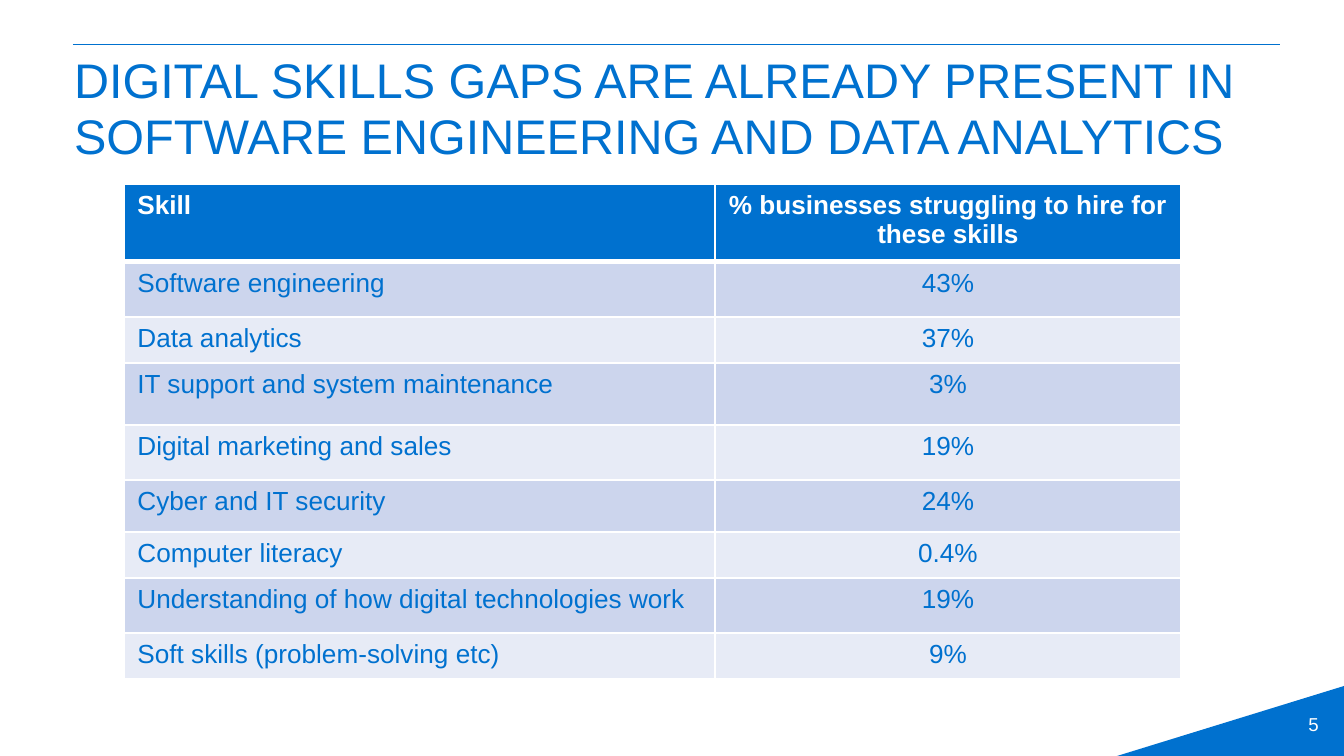
from lxml import etree
from pptx import Presentation
from pptx import util as u
from pptx.dml.color import RGBColor
from pptx.enum import shapes, text
from pptx.oxml import ns

SCALE = u.Inches(10) / 1344
BLUE = RGBColor(0x00, 0x71, 0xCF)
WHITE = RGBColor(0xFF, 0xFF, 0xFF)
BANDS = [RGBColor(0xCC, 0xD5, 0xED), RGBColor(0xE7, 0xEB, 0xF6)]
LEFT, MID, RIGHT = text.PP_ALIGN.LEFT, text.PP_ALIGN.CENTER, text.PP_ALIGN.RIGHT

TITLE = ("DIGITAL SKILLS GAPS ARE ALREADY PRESENT IN "
         "SOFTWARE ENGINEERING AND DATA ANALYTICS")
COLS = [591, 466]
# Row height, skill, share of businesses
ROWS = [
    (78, "Skill", "% businesses struggling to hire for these skills"),
    (55, "Software engineering", "43%"),
    (46, "Data analytics", "37%"),
    (62, "IT support and system maintenance", "3%"),
    (55, "Digital marketing and sales", "19%"),
    (52, "Cyber and IT security", "24%"),
    (46, "Computer literacy", "0.4%"),
    (55, "Understanding of how digital technologies work", "19%"),
    (46, "Soft skills (problem-solving etc)", "9%"),
]


def px(num):
    return u.Emu(round(num * SCALE))


def write(frame, words, size=14, color=BLUE, bold=False, align=LEFT, lead=None):
    para = frame.paragraphs[0]
    para.alignment = align
    if lead:
        para.line_spacing = u.Pt(lead)
    run = para.add_run()
    run.text = words
    font = run.font
    font.name, font.size, font.bold = "Arial", u.Pt(size), bold
    font.color.rgb = color


def add_label(slide, box, words, inset=None, anchor=text.MSO_ANCHOR.TOP, **style):
    frame = slide.shapes.add_textbox(*map(px, box)).text_frame
    frame.word_wrap = True
    frame.vertical_anchor = anchor
    if inset is not None:
        frame.margin_left = frame.margin_right = px(inset)
        frame.margin_top = frame.margin_bottom = px(inset)
    write(frame, words, **style)


def add_rule(slide, left, right, top):
    rule = slide.shapes.add_connector(
        shapes.MSO_CONNECTOR.STRAIGHT, px(left), px(top), px(right), px(top))
    rule.line.color.rgb = BLUE
    rule.line.width = u.Pt(0.25)
    etree.SubElement(rule.element.spPr, ns.qn("a:effectLst"))


def add_corner(slide, box):
    corner = slide.shapes.add_shape(
        shapes.MSO_SHAPE.ISOSCELES_TRIANGLE, *map(px, box))
    corner.adjustments[0] = 1
    corner.shadow.inherit = False
    corner.fill.solid()
    corner.fill.fore_color.rgb = BLUE
    corner.line.fill.background()


def set_edges(cell, widths):
    props = cell._tc.get_or_add_tcPr()
    for spot, (side, width) in enumerate(widths.items()):
        edge = etree.Element(ns.qn("a:ln" + side), w=str(u.Pt(width)))
        fill = etree.SubElement(edge, ns.qn("a:solidFill"))
        etree.SubElement(fill, ns.qn("a:srgbClr"), val=str(WHITE))
        props.insert(spot, edge)


def add_grid(slide, left, top):
    high = sum(row[0] for row in ROWS)
    grid = slide.shapes.add_table(
        len(ROWS), len(COLS), px(left), px(top), px(sum(COLS)), px(high)).table
    for col, width in zip(grid.columns, COLS):
        col.width = px(width)
    for i, (height, *words) in enumerate(ROWS):
        head = i == 0
        grid.rows[i].height = px(height)
        for j, word in enumerate(words):
            cell = grid.cell(i, j)
            cell.fill.solid()
            cell.fill.fore_color.rgb = BLUE if head else BANDS[(i - 1) % 2]
            set_edges(cell, {"L": 1, "R": 1, "T": 3 if i == 1 else 1,
                             "B": 3 if head else 1})
            write(cell.text_frame, word, color=WHITE if head else BLUE,
                  bold=head, align=MID if j else LEFT)


def main():
    deck = Presentation()
    deck.slide_width, deck.slide_height = px(1344), px(756)
    slide = deck.slides.add_slide(deck.slide_layouts[6])

    # Frame of the page
    add_rule(slide, 73, 1280, 44)
    add_corner(slide, (1117, 686, 227, 70))
    add_label(slide, (1019, 704, 313, 40), "5", size=10, color=WHITE,
              align=RIGHT, anchor=text.MSO_ANCHOR.MIDDLE)

    # Title and table
    add_label(slide, (74, 52, 1207, 78), TITLE, inset=0, size=26, lead=30)
    add_grid(slide, 124, 184)

    deck.save("out.pptx")


if __name__ == "__main__":
    main()
